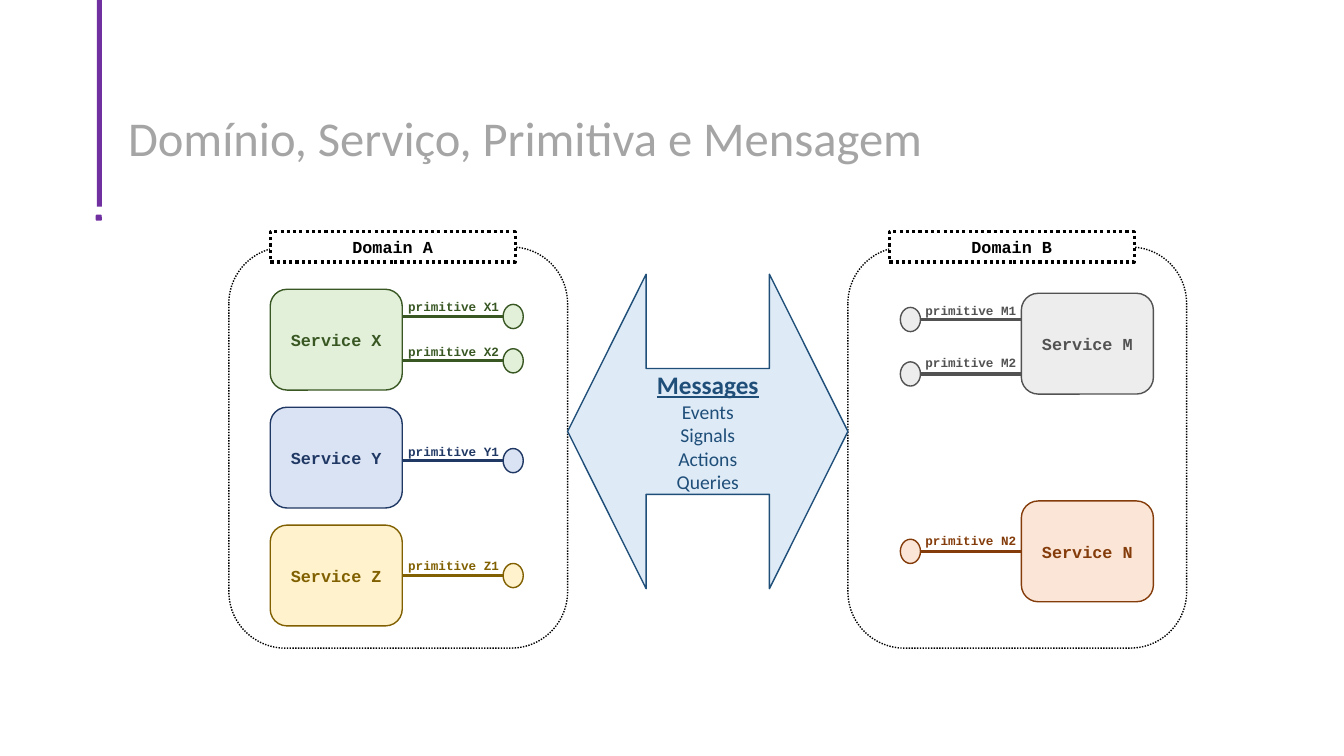
import pptx
import pptx.dml.color
import pptx.enum.dml
import pptx.enum.shapes
import pptx.enum.text
import pptx.oxml
import pptx.oxml.ns
import pptx.util

PX = 9144  # 100 px to the inch
RGBColor = pptx.dml.color.RGBColor
SHAPE = pptx.enum.shapes.MSO_SHAPE
ALIGN = pptx.enum.text.PP_ALIGN
ANCHOR = pptx.enum.text.MSO_ANCHOR
Pt = pptx.util.Pt

BLACK = RGBColor(0x00, 0x00, 0x00)
WHITE = RGBColor(0xFF, 0xFF, 0xFF)
PURPLE = RGBColor(0x70, 0x30, 0xA0)
TITLE_GRAY = RGBColor(0xA5, 0xA5, 0xA5)
PALE_GREEN, DARK_GREEN = RGBColor(0xE2, 0xF0, 0xD9), RGBColor(0x38, 0x57, 0x23)
PALE_BLUE, NAVY = RGBColor(0xDA, 0xE3, 0xF3), RGBColor(0x20, 0x38, 0x64)
PALE_YELLOW, OLIVE = RGBColor(0xFF, 0xF2, 0xCC), RGBColor(0x80, 0x60, 0x00)
PALE_GRAY, DARK_GRAY = RGBColor(0xED, 0xED, 0xED), RGBColor(0x52, 0x52, 0x52)
PALE_ORANGE, BROWN = RGBColor(0xFB, 0xE5, 0xD6), RGBColor(0x84, 0x3C, 0x0B)
PALE_SKY, SKY = RGBColor(0xDE, 0xEB, 0xF7), RGBColor(0x1F, 0x4E, 0x79)

presentation = pptx.Presentation()
presentation.slide_width = 1333 * PX
presentation.slide_height = 750 * PX
slide = presentation.slides.add_slide(presentation.slide_layouts[6])


def add_box(kind, left, top, width, height, fill, line, weight=1, dotted=False):
    shape = slide.shapes.add_shape(kind, left * PX, top * PX, width * PX, height * PX)
    shape.shadow.inherit = False
    if fill is None:
        shape.fill.background()
    else:
        shape.fill.solid()
        shape.fill.fore_color.rgb = fill
    if line is None:
        shape.line.fill.background()
    else:
        shape.line.color.rgb = line
        shape.line.width = Pt(weight)
    if dotted:
        shape.line.dash_style = pptx.enum.dml.MSO_LINE.ROUND_DOT
    return shape


def write(shape, text, size, color, font="Courier New", bold=True,
          align=ALIGN.CENTER, anchor=ANCHOR.MIDDLE, wrap=True):
    frame = shape.text_frame
    frame.text = text
    frame.word_wrap = wrap
    frame.vertical_anchor = anchor
    for paragraph in frame.paragraphs:
        paragraph.alignment = align
        for run in paragraph.runs:
            run.font.name = font
            run.font.size = Pt(size)
            run.font.bold = bold
            run.font.color.rgb = color


# Purple marker beside the title
add_box(SHAPE.RECTANGLE, 96, 0, 5, 205, PURPLE, None)
add_box(SHAPE.ROUNDED_RECTANGLE, 95, 213, 6, 6, PURPLE, None)

# Title
title = slide.shapes.add_textbox(120 * PX, 100 * PX, 1101 * PX, 80 * PX)
write(title, "Domínio, Serviço, Primitiva e Mensagem", 34.7, TITLE_GRAY,
      font="Calibri", bold=False, align=ALIGN.LEFT)
title.text_frame.margin_left = title.text_frame.margin_right = 7 * PX
title.text_frame.margin_top = title.text_frame.margin_bottom = 4 * PX
title.text_frame.paragraphs[0].line_spacing = 0.9

# Domains
for name, left in (("Domain A", 227), ("Domain B", 841)):
    add_box(SHAPE.ROUNDED_RECTANGLE, left, 245, 336, 398, None, BLACK, dotted=True)
    label = add_box(SHAPE.RECTANGLE, left + 41, 230, 243, 30, WHITE, BLACK, 2.25, True)
    write(label, name, 12, BLACK, anchor=ANCHOR.TOP)

# Services, each with its primitives: name, line height, label top
SERVICE_WIDTH, SERVICE_HEIGHT = 131, 100
LINE_LENGTH, END_WIDTH, END_HEIGHT = 100, 20, 24
services = [
    ("Service X", 268, 287, PALE_GREEN, DARK_GREEN,
     [("primitive X1", 314, 292), ("primitive X2", 358, 336)]),
    ("Service Y", 268, 404, PALE_BLUE, NAVY, [("primitive Y1", 457, 435)]),
    ("Service Z", 268, 521, PALE_YELLOW, OLIVE, [("primitive Z1", 571, 549)]),
    ("Service M", 1013, 291, PALE_GRAY, DARK_GRAY,
     [("primitive M1", 317, 296), ("primitive M2", 371, 347)]),
    ("Service N", 1013, 497, PALE_ORANGE, BROWN, [("primitive N2", 547, 524)]),
]
for name, left, top, fill, color, primitives in services:
    service = add_box(SHAPE.ROUNDED_RECTANGLE, left, top,
                      SERVICE_WIDTH, SERVICE_HEIGHT, fill, color)
    write(service, name, 12, color)
    if left < 600:  # primitives point right in domain A, left in domain B
        side, start = 3, left + SERVICE_WIDTH
        end = start + LINE_LENGTH
        end_left, label_left = end, start - 4
    else:
        side, start = 1, left
        end = start - LINE_LENGTH
        end_left, label_left = end - END_WIDTH, end - 5

    for primitive, y, label_top in primitives:
        connector = slide.shapes.add_connector(
            pptx.enum.shapes.MSO_CONNECTOR.STRAIGHT, start * PX, y * PX, end * PX, y * PX)
        connector.line.color.rgb = color
        connector.line.width = Pt(2.25)
        connector._element.spPr.append(pptx.oxml.parse_xml(
            "<a:effectLst %s/>" % pptx.oxml.ns.nsdecls("a")))
        if y == top + SERVICE_HEIGHT // 2:
            connector.begin_connect(service, side)
        add_box(SHAPE.OVAL, end_left, y - END_HEIGHT // 2, END_WIDTH, END_HEIGHT, fill, color)
        label = slide.shapes.add_textbox(label_left * PX, label_top * PX, 111 * PX, 25 * PX)
        write(label, primitive, 9, color, align=ALIGN.LEFT, anchor=ANCHOR.TOP, wrap=False)

# Messages exchanged between the domains
arrow = add_box(SHAPE.LEFT_RIGHT_ARROW, 563, 272, 278, 312, PALE_SKY, SKY)
arrow.adjustments[0] = 0.4
arrow.adjustments[1] = 0.28
write(arrow, "Messages\nEvents\nSignals\nActions\nQueries", 14, SKY, font="Calibri", bold=False)
heading = arrow.text_frame.paragraphs[0].runs[0].font
heading.size = Pt(18)
heading.bold = True
heading.underline = True

presentation.save("out.pptx")
